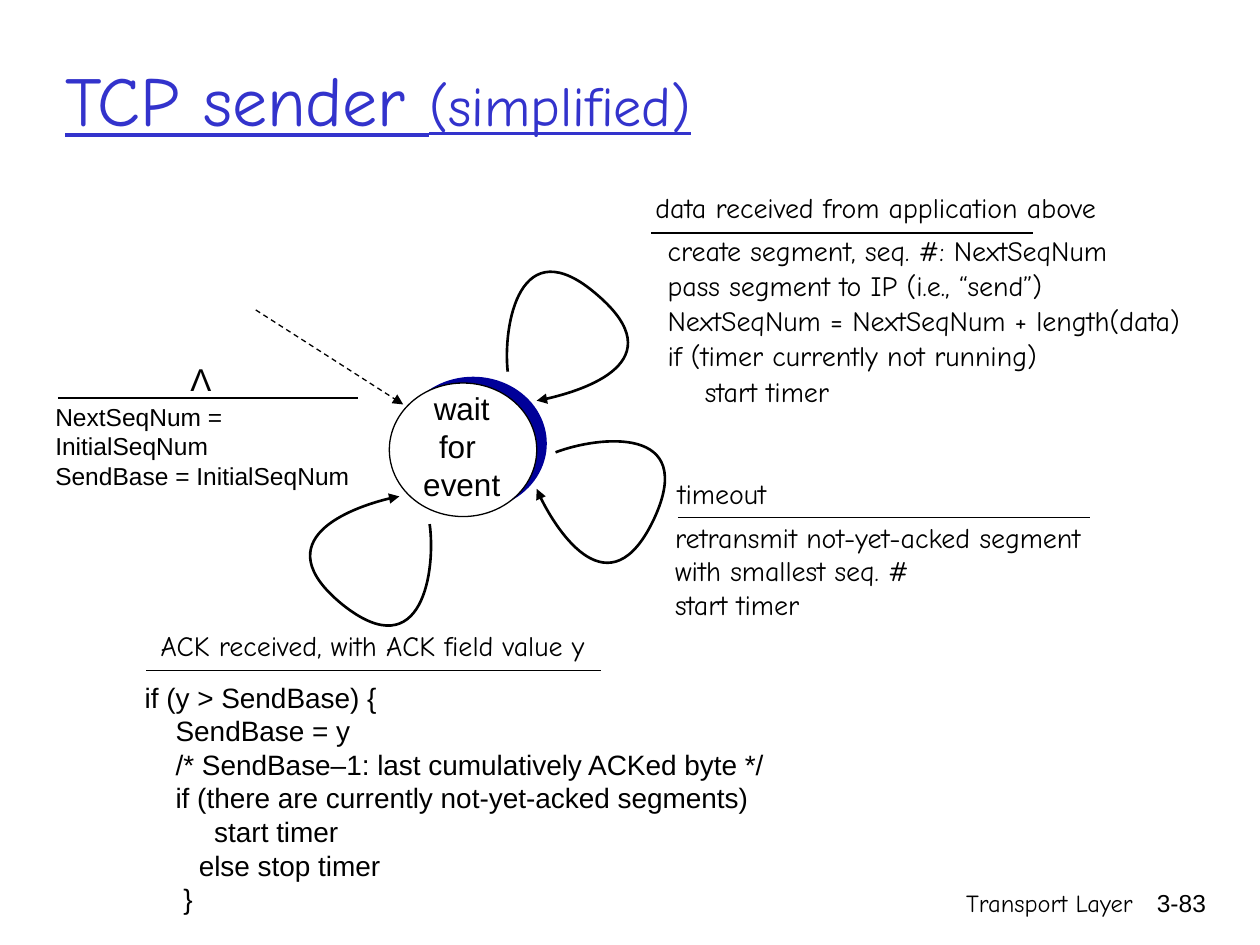
from lxml import etree
from pptx import Presentation
from pptx.dml.color import RGBColor
from pptx.enum import dml, shapes, text
from pptx.oxml import ns
from pptx.util import Inches, Pt

BLACK = RGBColor(0, 0, 0)
WHITE = RGBColor(255, 255, 255)
NAVY = RGBColor(0, 0, 0x99)
TITLE_BLUE = RGBColor(0x33, 0x33, 0xCC)
HAND = "Comic Neue"
SANS = "Arial"
LEFT, CENTER, RIGHT = text.PP_ALIGN.LEFT, text.PP_ALIGN.CENTER, text.PP_ALIGN.RIGHT


def style_font(font, size, name, color, underline=None):
    font.size = Pt(size)
    font.name = name
    font.color.rgb = color
    font.underline = underline


def add_text(slide, lines, box, size=16, font=HAND, color=BLACK, align=LEFT,
             wrap=False, spacing=None, anchor=text.MSO_ANCHOR.TOP, underline=None):
    """Each line is a string, or a list of (text, size) runs."""
    shape = slide.shapes.add_textbox(*map(Inches, box))
    frame = shape.text_frame
    frame.word_wrap = wrap
    frame.vertical_anchor = anchor
    if not wrap:
        frame.auto_size = text.MSO_AUTO_SIZE.SHAPE_TO_FIT_TEXT
    for index, line in enumerate(lines):
        paragraph = frame.paragraphs[0] if index == 0 else frame.add_paragraph()
        paragraph.alignment = align
        paragraph.line_spacing = spacing
        runs = [(line, size)] if isinstance(line, str) else line
        for words, run_size in runs:
            run = paragraph.add_run()
            run.text = words
            style_font(run.font, run_size, font, color, underline)
    return shape


def add_arrowhead(shape):
    etree.SubElement(shape.line._get_or_add_ln(), ns.qn("a:tailEnd"), type="triangle")


def add_line(slide, start, end, dashed_arrow=False):
    line = slide.shapes.add_connector(
        shapes.MSO_CONNECTOR.STRAIGHT, *map(Inches, (*start, *end)))
    line.line.color.rgb = BLACK
    line.line.width = Pt(0.75)
    if dashed_arrow:
        line.line.dash_style = dml.MSO_LINE.DASH
        add_arrowhead(line)
    etree.SubElement(line._element.spPr, ns.qn("a:effectLst"))


def add_ellipse(slide, left, top, fill, outlined=False):
    ellipse = slide.shapes.add_shape(
        shapes.MSO_SHAPE.OVAL, *map(Inches, (left, top, 1.17, 1.06)))
    ellipse.shadow.inherit = False
    ellipse.fill.solid()
    ellipse.fill.fore_color.rgb = fill
    if outlined:
        ellipse.line.color.rgb = BLACK
        ellipse.line.width = Pt(0.75)
    else:
        ellipse.line.fill.background()


def add_loop(slide, start, *points):
    """Draw a curved arrow; every three points make one Bezier segment."""
    builder = slide.shapes.build_freeform(*start, scale=Inches(1) / 100)
    builder.add_line_segments(points, close=False)
    loop = builder.convert_to_shape()
    loop.shadow.inherit = False
    loop.fill.background()
    loop.line.color.rgb = BLACK
    loop.line.width = Pt(1.5)
    add_arrowhead(loop)

    # Turn each group of three straight segments into a cubic curve
    outline = next(loop._element.iter(ns.qn("a:path")))
    segments = outline.findall(ns.qn("a:lnTo"))
    for first in range(0, len(segments), 3):
        curve = etree.SubElement(outline, ns.qn("a:cubicBezTo"))
        for segment in segments[first:first + 3]:
            curve.append(segment[0])
            outline.remove(segment)


def add_state(slide):
    add_ellipse(slide, 3.17, 2.99, NAVY)
    add_ellipse(slide, 3.09, 3.04, WHITE, outlined=True)
    add_text(slide, ["wait", "for ", "event"], (3.26, 3.04, 0.81, 1),
             size=18, font=SANS, align=CENTER)


def add_initial_transition(slide):
    add_line(slide, (2.03, 2.46), (3.2, 3.21), dashed_arrow=True)
    add_text(slide, ["NextSeqNum = InitialSeqNum", "SendBase = InitialSeqNum"],
             (0.34, 3.14, 2.79, 0.57), size=14, font=SANS)
    add_line(slide, (0.46, 3.16), (2.84, 3.16))
    add_text(slide, ["Λ"], (1.41, 2.81, 0.37, 0.4), size=18, font=SANS, align=CENTER)


def add_transition(slide, event, event_box, rule, actions, action_box, **style):
    """Event above a rule, actions below it."""
    left, right, y = rule
    add_text(slide, actions, action_box, **style)
    add_text(slide, [event], event_box, align=CENTER)
    add_line(slide, (left, y), (right, y))


def main():
    presentation = Presentation()
    presentation.slide_width, presentation.slide_height = Inches(10), Inches(7.5)
    slide = presentation.slides.add_slide(presentation.slide_layouts[6])

    # Footer and title
    add_text(slide, ["Transport Layer"], (5.92, 7, 3.17, 0.5), size=14,
             align=RIGHT, wrap=True)
    add_text(slide, ["3-83"], (8.93, 7, 0.74, 0.5), size=14, font=SANS,
             align=RIGHT, wrap=True)
    add_text(slide, [[("TCP sender ", 40), ("(simplified)", 32)]],
             (0.42, 0.29, 8.46, 0.98), color=TITLE_BLUE, wrap=True,
             anchor=text.MSO_ANCHOR.MIDDLE, underline=True)

    # State and its transitions
    add_state(slide)
    add_initial_transition(slide)
    add_transition(
        slide, "data received from application above", (5.09, 1.46, 3.72, 0.37),
        (5.17, 8.2, 1.85),
        ["create segment, seq. #: NextSeqNum",
         "pass segment to IP (i.e., “send”)",
         "NextSeqNum = NextSeqNum + length(data)",
         "if (timer currently not running)",
         "    start timer"],
        (5.2, 1.79, 4.35, 1.5), spacing=1.05)
    add_transition(
        slide, "timeout", (5.28, 3.73, 0.9, 0.37), (5.38, 8.65, 4.11),
        ["retransmit not-yet-acked segment with smallest seq. #", "start timer"],
        (5.26, 4.08, 3.6, 0.9), wrap=True)
    add_transition(
        slide, "ACK received, with ACK field value y ", (1.17, 4.94, 3.65, 0.37),
        (1.16, 4.77, 5.32),
        ["if (y > SendBase) {",
         "    SendBase = y",
         "    /* SendBase–1: last cumulatively ACKed byte */",
         "    if (there are currently not-yet-acked segments)",
         "         start timer",
         "       else stop timer",
         "     }"],
        (1.05, 5.35, 5.13, 1.97), font=SANS)

    # Loops back to the state, in hundredths of an inch
    add_loop(slide, (403, 295), (399, 259), (412, 180), (474, 234),
             (536, 287), (452, 314), (426, 318))
    add_loop(slide, (441, 359), (475, 346), (554, 337), (519, 412),
             (484, 486), (435, 412), (426, 388))
    add_loop(slide, (341, 416), (346, 451), (336, 531), (272, 480),
             (208, 428), (291, 398), (317, 394))

    presentation.save("out.pptx")


if __name__ == "__main__":
    main()
